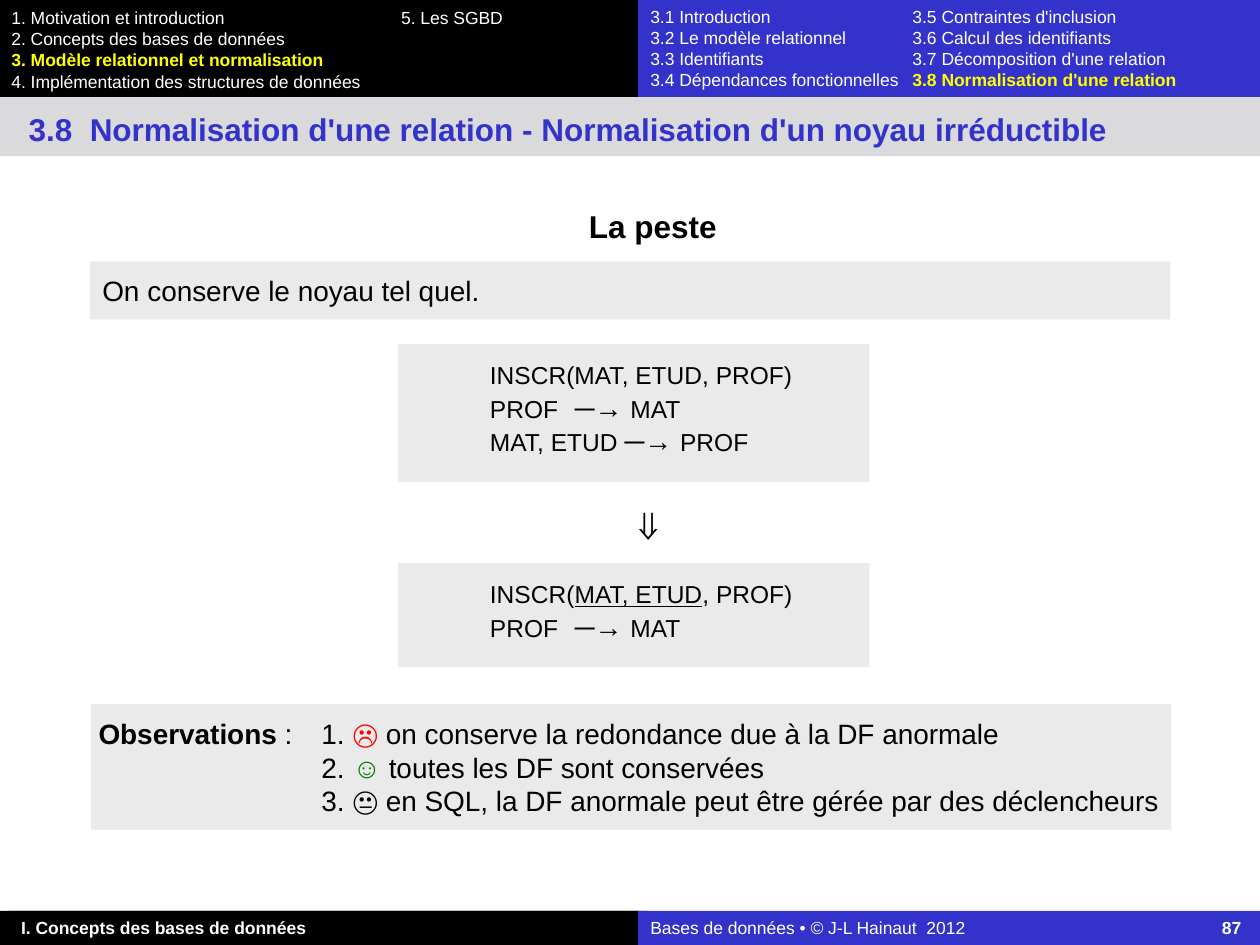
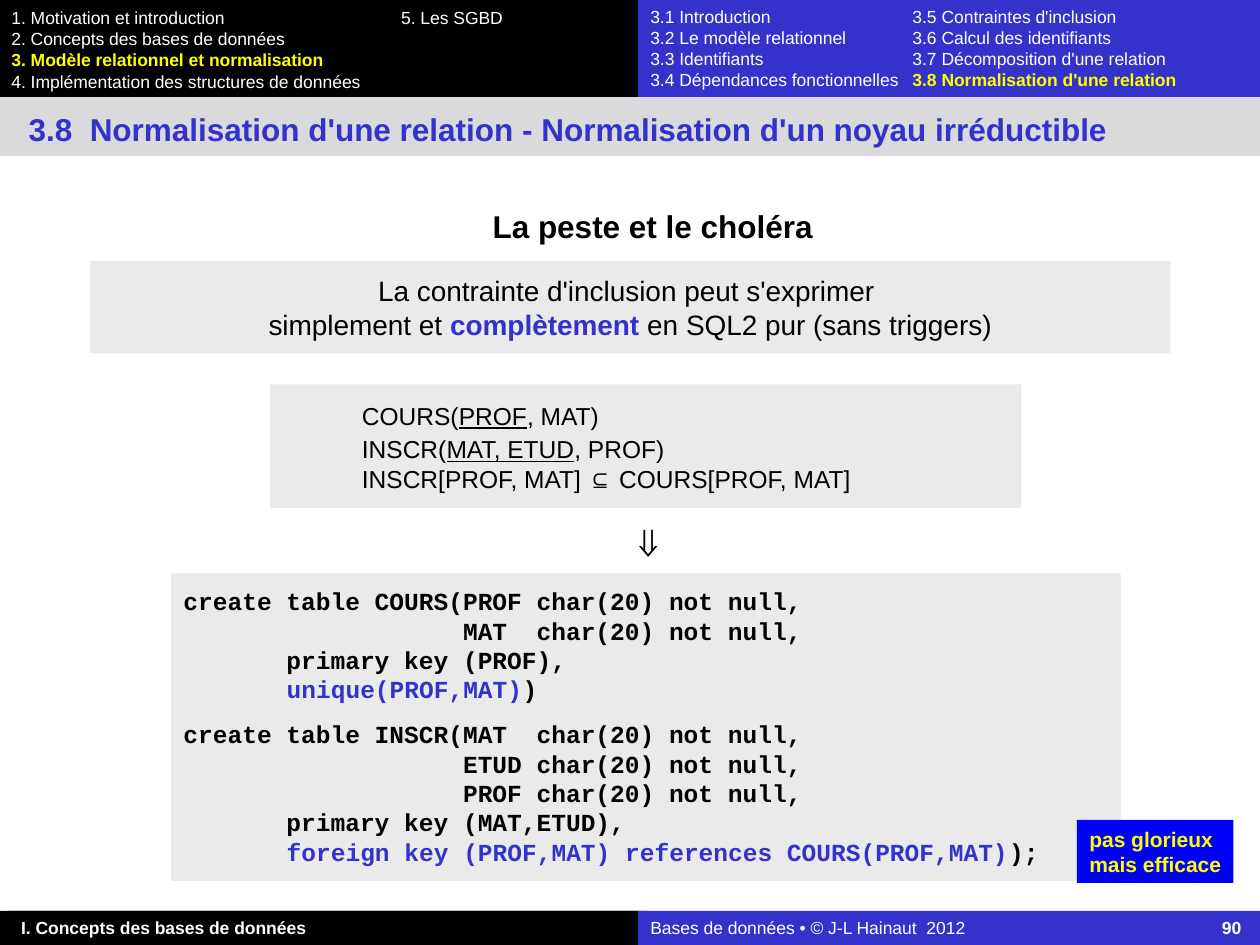
import pptx
import pptx.dml.color
import pptx.enum.shapes
import pptx.enum.text
import pptx.oxml
import pptx.oxml.ns
import pptx.util

Pt = pptx.util.Pt
colour = pptx.dml.color.RGBColor.from_string
CENTER = pptx.enum.text.PP_ALIGN.CENTER

BLACK, WHITE, YELLOW = "000000", "FFFFFF", "FFFF00"
BLUE, BRIGHT_BLUE = "3333CC", "0000FF"
TITLE_GREY, PANEL_GREY = "DADADC", "EAEAEA"
PLAIN_INSETS = (7.2, 3.6, 7.2, 3.6)
PANEL_INSETS = (7.2, 7.2, 7.2, 7.2)
SCHEMA_INSETS = (7.2, 7.2, 7.2, 14.4)
CODE_INSETS = (7.2, 7.2, 7.2, 8.6)
WIDE_INSETS = (4.3, 7.2, 1.4, 7.2)


def add_box(slide, left, top, width, height, fill=None):
    """Add a filled rectangle, or a text box when there is no fill."""
    frame = Pt(left), Pt(top), Pt(width), Pt(height)
    if fill is None:
        return slide.shapes.add_textbox(*frame)
    shape = slide.shapes.add_shape(pptx.enum.shapes.MSO_SHAPE.RECTANGLE, *frame)
    shape.shadow.inherit = False
    shape.fill.solid()
    shape.fill.fore_color.rgb = colour(fill)
    shape.line.fill.background()
    return shape


def write(shape, paragraphs, size, text_colour=BLACK, bold=False, name="Arial",
          insets=PLAIN_INSETS, align=pptx.enum.text.PP_ALIGN.LEFT, tab=None,
          tab_side="l", wrap=True):
    """Fill a shape; a paragraph is a list of strings or (string, font changes)."""
    frame = shape.text_frame
    frame.word_wrap = wrap
    frame.vertical_anchor = pptx.enum.text.MSO_ANCHOR.TOP
    frame.margin_left, frame.margin_top, frame.margin_right, frame.margin_bottom = map(Pt, insets)
    for index, runs in enumerate(paragraphs):
        paragraph = frame.add_paragraph() if index else frame.paragraphs[0]
        paragraph.alignment = align
        if tab:
            properties = paragraph._p.get_or_add_pPr()
            properties.append(pptx.oxml.parse_xml(
                f'<a:tabLst {pptx.oxml.ns.nsdecls("a")}>'
                f'<a:tab pos="{Pt(tab)}" algn="{tab_side}"/></a:tabLst>'))
        paragraph.font.size = Pt(size)
        paragraph.font.name = name
        paragraph.font.bold = bold
        paragraph.font.color.rgb = colour(text_colour)
        for item in runs:
            text, changes = (item, {}) if isinstance(item, str) else item
            run = paragraph.add_run()
            run.text = text
            for key, value in changes.items():
                if key == "colour":
                    run.font.color.rgb = colour(value)
                else:
                    setattr(run.font, key, value)


presentation = pptx.Presentation()
presentation.slide_width, presentation.slide_height = Pt(720), Pt(540)

current = {"colour": YELLOW, "bold": True}
chapters = [
    ["1. Motivation et introduction\t5. Les SGBD"],
    ["2. Concepts des bases de données"],
    [("3. Modèle relationnel et normalisation", current)],
    ["4. Implémentation des structures de données"],
]
sections = [
    ["3.1 Introduction\t3.5 Contraintes d'inclusion"],
    ["3.2 Le modèle relationnel\t3.6 Calcul des identifiants"],
    ["3.3 Identifiants\t3.7 Décomposition d'une relation"],
    ["3.4 Dépendances fonctionnelles\t", ("3.8 Normalisation d'une relation", current)],
]
title = "3.8\tNormalisation d'une relation - Normalisation d'un noyau irréductible"

# Bands, title, heading and arrow common to the slides
slides = []
for number, heading, arrow_top in (("87", "La peste", 281.5),
                                   ("90", "La peste et le choléra", 291)):
    slide = presentation.slides.add_slide(presentation.slide_layouts[6])
    slides.append(slide)
    add_box(slide, 0, 0, 365, 55.5, BLACK)
    add_box(slide, 0, 520.5, 365, 19.5, BLACK)
    write(add_box(slide, 5, 520.5, 365, 19.5, BLACK),
          [["I. Concepts des bases de données"]], 10, WHITE, bold=True)
    write(add_box(slide, 364.5, 520.5, 355.5, 19.5, BLUE),
          [["Bases de données • © J-L Hainaut  2012\t", (number, {"bold": True})]],
          10, WHITE, tab=337.7, tab_side="r")
    write(add_box(slide, 0, 0.7, 364.5, 55.5), chapters, 10, WHITE,
          insets=(6.5, 3.6, 7.2, 3.6), tab=222.7)
    add_box(slide, 364.5, 0, 355.5, 55.5, BLUE)
    add_box(slide, 0, 55.5, 720, 33.8, TITLE_GREY)
    write(add_box(slide, 9.2, 59.2, 672, 28.8), [[title]], 18, BLUE, bold=True, tab=35)
    write(add_box(slide, 364.5, 0, 355.5, 55.5), sections, 10, WHITE, tab=149.8)
    write(add_box(slide, 62.6, 111, 618, 36), [[heading]], 18, bold=True,
          insets=WIDE_INSETS, align=CENTER)
    write(add_box(slide, 355, arrow_top, 28.8, 36), [["⇓"]], 24, wrap=False)
plague, plague_and_cholera = slides

large, underlined = {"size": Pt(16)}, {"underline": True}
schema_tab = 45.4
tab = ("\t", large)
serif_tab = ("\t", {"size": Pt(16), "name": "Times New Roman"})
arrow = ("─→ ", large)
prof_to_mat = [tab, "PROF", (" ", {"size": Pt(16), "name": "Courier New"}), arrow, "MAT"]
inscr_with_key = [serif_tab, "INSCR(", ("MAT, ETUD", underlined), ", PROF)"]

# La peste
write(add_box(plague, 51.4, 149.3, 617.4, 33.2, PANEL_GREY),
      [["On conserve le noyau tel quel."]], 16, insets=PANEL_INSETS)
write(add_box(plague, 227.5, 196.6, 269.3, 78.8, PANEL_GREY),
      [[serif_tab, "INSCR(MAT, ETUD, PROF)"], prof_to_mat,
       [tab, "MAT, ETUD ", arrow, "PROF"]],
      14, insets=SCHEMA_INSETS, tab=schema_tab)
write(add_box(plague, 227.5, 321.8, 269.3, 59.4, PANEL_GREY),
      [inscr_with_key, prof_to_mat], 14, insets=SCHEMA_INSETS, tab=schema_tab)
write(add_box(plague, 52, 402.3, 617.4, 71.8, PANEL_GREY),
      [[("Observations", {"bold": True}), " : \t1. ",
        ("☹", {"colour": "FF0000", "bold": True}),
        " on conserve la redondance due à la DF anormale"],
       ["\t2. ", ("☺ ", {"colour": "008000", "bold": True}),
        "toutes les DF sont conservées"],
       ["\t3. ", ("😐", {"bold": True}),
        " en SQL, la DF anormale peut être gérée par des déclencheurs"]],
      16, insets=WIDE_INSETS, tab=127.4)

# La peste et le choléra
write(add_box(plague_and_cholera, 51.4, 149.3, 617.4, 52.5, PANEL_GREY),
      [["La contrainte d'inclusion peut s'exprimer "],
       ["simplement et ", ("complètement", {"colour": BLUE, "bold": True}),
        " en SQL2 pur (sans triggers)"]],
      16, insets=PANEL_INSETS, align=CENTER)
write(add_box(plague_and_cholera, 154.3, 219.7, 429.2, 70.5, PANEL_GREY),
      [[serif_tab, "COURS(", ("PROF", underlined), ", MAT)"], inscr_with_key,
       ["\tINSCR[PROF, MAT] ⊆ COURS[PROF, MAT]"]],
      14, insets=CODE_INSETS, tab=schema_tab)

highlighted = {"colour": BLUE}
code_box = add_box(plague_and_cholera, 97.8, 327.7, 542.6, 175.6, PANEL_GREY)
write(code_box,
      [["create table COURS(PROF char(20) not null,"],
       ["                   MAT  char(20) not null,"],
       ["       primary key (PROF),"],
       ["       ", ("unique(PROF,MAT)", highlighted), ")"],
       ["create table INSCR(MAT  char(20) not null,"],
       ["                   ETUD char(20) not null,"],
       ["                   PROF char(20) not null,"],
       ["       primary key (MAT,ETUD),"],
       ["       ", ("foreign key (PROF,MAT) references COURS(PROF,MAT)", highlighted), ");"]],
      14, bold=True, name="Courier New", insets=CODE_INSETS)
code_box.text_frame.paragraphs[4].space_before = Pt(8.8)

write(add_box(plague_and_cholera, 615.4, 468.6, 89.4, 36, BRIGHT_BLUE),
      [["pas glorieux"], ["mais efficace"]], 12, YELLOW, bold=True, wrap=False)

presentation.save("out.pptx")
